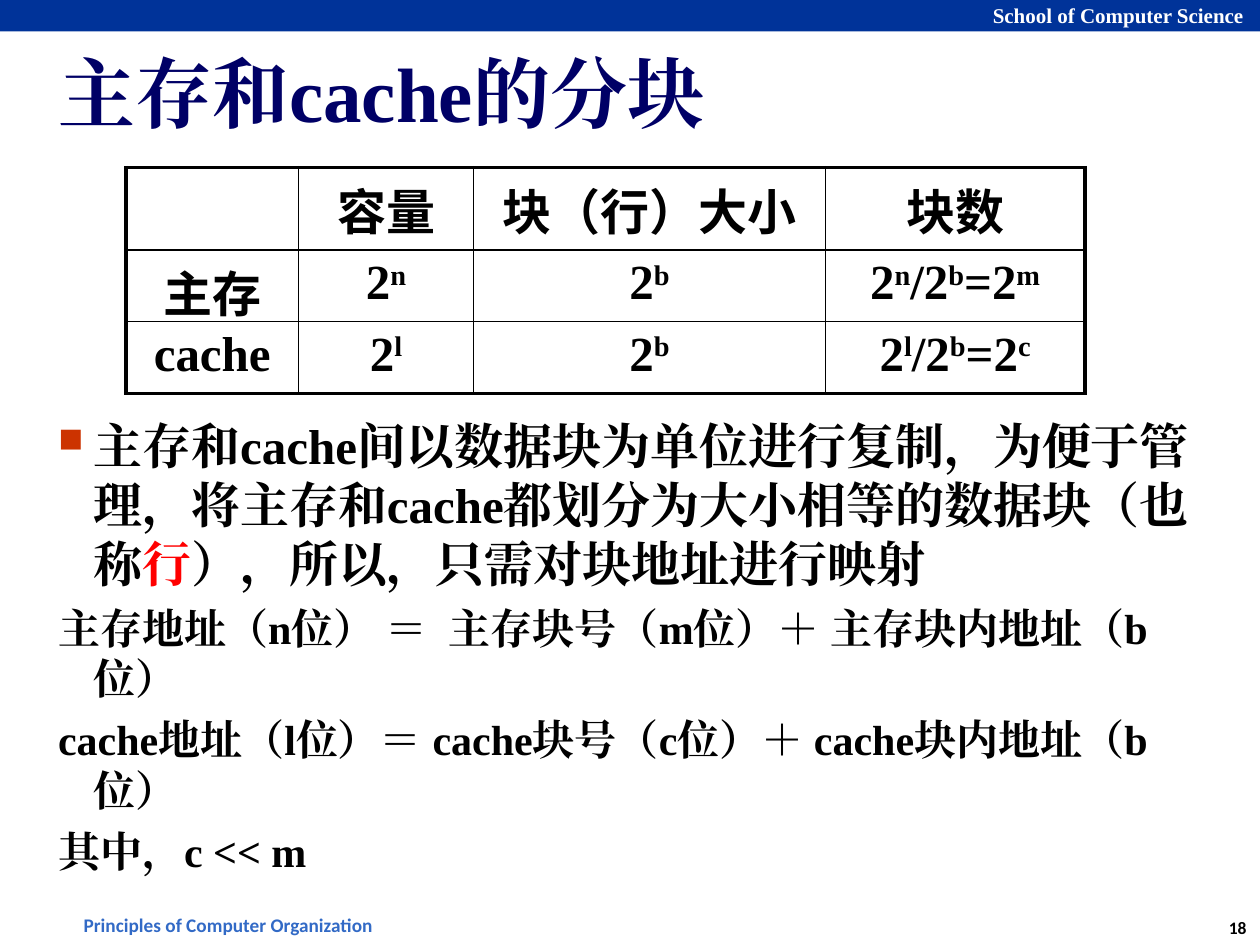
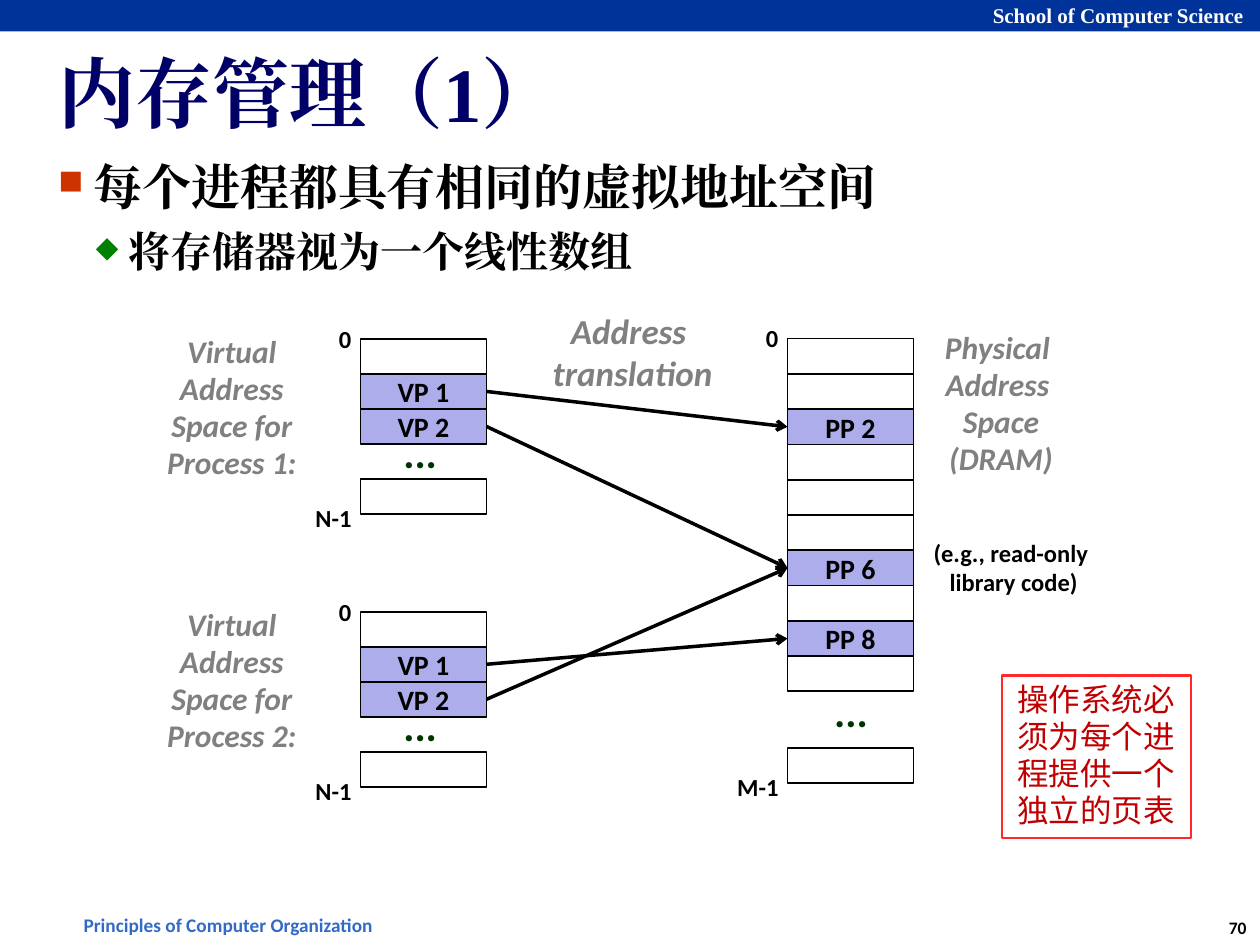
from pptx import Presentation
from pptx.dml.color import RGBColor
from pptx.enum.shapes import MSO_CONNECTOR, MSO_SHAPE
from pptx.enum.text import MSO_ANCHOR, MSO_AUTO_SIZE, PP_ALIGN
from pptx.oxml.ns import qn
from pptx.util import Pt
from lxml.etree import SubElement

BLACK, GREY, RED = "000000", "808080", "FF0000"
NAVY, BAND_BLUE, FOOTER_BLUE = "000066", "003399", "326AC6"
PAGE_FILL, DOTS_GREEN = "ADADEB", "003300"
SERIF, SANS, CJK = "Times New Roman", "Calibri", "Noto Sans CJK SC"
LEFT, CENTER = PP_ALIGN.LEFT, PP_ALIGN.CENTER


def colour(hex_code):
    return RGBColor.from_string(hex_code)


def write(shape, text, size, font=SANS, color=BLACK, bold=True, italic=False,
          align=CENTER, wrap=None, inset=None, line_spacing=None, before=None,
          margin=None, hanging=0, bullet=None, accent=None, raised=False):
    """Append one paragraph to a shape or cell.

    Pieces between bars take the accent colour or are raised as superscripts.
    """
    frame = shape.text_frame
    if wrap is not None:
        frame.word_wrap = wrap
    if inset is not None:
        frame.margin_left = frame.margin_right = Pt(inset)
        frame.margin_top = frame.margin_bottom = Pt(inset)
    paragraph = frame.add_paragraph() if frame.text else frame.paragraphs[0]
    paragraph.alignment = align
    if line_spacing:
        paragraph.line_spacing = line_spacing
    if before:
        paragraph.space_before = Pt(before)
    properties = paragraph._p.get_or_add_pPr()
    if margin:
        properties.set("marL", str(Pt(margin)))
        properties.set("indent", str(Pt(-hanging)))
    if bullet:
        symbol, bullet_color = bullet
        SubElement(SubElement(properties, qn("a:buClr")), qn("a:srgbClr"), val=bullet_color)
        SubElement(properties, qn("a:buSzPct"), val="70000")
        SubElement(properties, qn("a:buChar"), char=symbol)
    for index, piece in enumerate(text.split("|")):
        marked = index % 2 == 1
        run = paragraph.add_run()
        run.text = piece
        run.font.size = Pt(size)
        run.font.bold = bold
        run.font.italic = italic
        run.font.color.rgb = colour(accent if marked and accent else color)
        run.font.name = font
        run_properties = run._r.get_or_add_rPr()
        SubElement(run_properties, qn("a:ea"), typeface=font)
        if marked and raised:
            run_properties.set("baseline", "30000")


presentation = Presentation()
presentation.slide_width, presentation.slide_height = Pt(720), Pt(540)

# Shared frame of both slides: band, footer, number, title and body
slides, bodies = [], []
for title_text, number, body_top in (("主存和cache的分块", "18", 234.4),
                                     ("内存管理（1）", "70", 86.4)):
    slide = presentation.slides.add_slide(presentation.slide_layouts[5])
    slide.background.fill.solid()
    slide.background.fill.fore_color.rgb = colour("FFFFFF")

    band = slide.shapes.add_shape(MSO_SHAPE.RECTANGLE, 0, 0, Pt(720), Pt(18))
    band.shadow.inherit = False
    band.fill.solid()
    band.fill.fore_color.rgb = colour(BAND_BLUE)
    band.line.fill.background()

    for text, left, top, width, height, style in (
            (number, 694, 520.6, 26.6, 19.4, dict(size=10)),
            ("School of Computer Science", 560.2, -2.2, 159, 21.6,
             dict(size=12, font=SERIF, color="FFFFFF", align=LEFT)),
            ("Principles of Computer Organization ", 39.6, 518.4, 184.3, 20.9,
             dict(size=11, color=FOOTER_BLUE))):
        box = slide.shapes.add_textbox(Pt(left), Pt(top), Pt(width), Pt(height))
        write(box, text, wrap=False, **style)

    title = slide.shapes.title
    title.left, title.top, title.width, title.height = Pt(30.2), Pt(20.2), Pt(660.2), Pt(64)
    title.text_frame.auto_size = MSO_AUTO_SIZE.NONE
    title.text_frame.vertical_anchor = MSO_ANCHOR.MIDDLE
    write(title, title_text, 44, SERIF, NAVY, align=LEFT, inset=3)

    body = slide.shapes.add_textbox(Pt(30.2), Pt(body_top), Pt(660.2), Pt(498.2 - body_top))
    slides.append(slide)
    bodies.append(body)

BODY = dict(font=SERIF, align=LEFT, wrap=True, inset=3, margin=20.2, hanging=20.2)
SQUARE, DIAMOND = ("■", "CC3300"), ("◆", "008000")

# Slide 1: block sizes of main memory and cache
slide, body = slides[0], bodies[0]
write(body, "主存和cache间以数据块为单位进行复制，为便于管理，将主存和cache都划分为大小相等的数据块"
      "（也称|行|），所以，只需对块地址进行映射", 28, bullet=SQUARE, accent=RED, **BODY)
for formula in ("主存地址（n位） ＝  主存块号（m位）＋ 主存块内地址（b位）",
                "cache地址（l位）＝ cache块号（c位）＋ cache块内地址（b位）",
                "其中，c << m"):
    write(body, formula, 24, before=6, **BODY)

block_rows = [["", "容量", "块（行）大小", "块数"],
              ["主存", "2|n", "2|b", "2|n|/2|b|=2|m"],
              ["cache", "2|l", "2|b", "2|l|/2|b|=2|c"]]
column_widths, row_heights = [98.6, 100.1, 200.9, 148.4], [47, 41, 41]
table = slide.shapes.add_table(3, 4, Pt(72), Pt(95.8), Pt(sum(column_widths)),
                               Pt(sum(row_heights))).table
table.first_row = table.horz_banding = False
for column, width in zip(table.columns, column_widths):
    column.width = Pt(width)
for row, height in zip(table.rows, row_heights):
    row.height = Pt(height)
for row_index, row_texts in enumerate(block_rows):
    for column_index, text in enumerate(row_texts):
        cell = table.cell(row_index, column_index)
        outer_sides = {"L": column_index == 0, "R": column_index == 3,
                       "T": row_index == 0, "B": row_index == 2}
        for side, outer in outer_sides.items():
            border = SubElement(cell._tc.get_or_add_tcPr(), qn("a:ln" + side),
                                w=str(Pt(2.25 if outer else 1)))
            SubElement(SubElement(border, qn("a:solidFill")), qn("a:srgbClr"), val=BLACK)
        cell.fill.background()
        if text:
            write(cell, text, 28, SERIF if text.isascii() else CJK, raised=True)

# Slide 2: virtual pages mapped to physical pages
slide, body = slides[1], bodies[1]
write(body, "每个进程都具有相同的虚拟地址空间", 28, bullet=SQUARE, **BODY)
write(body, "将存储器视为一个线性数组", 24, before=6, bullet=DIAMOND,
      **{**BODY, "margin": 40.3, "hanging": 18.7})

virtual_slots = [(0, ""), (1, "VP 1"), (2, "VP 2"), (4, "")]
physical_names = {2: "PP 2", 6: "PP 6", 8: "PP 8"}
physical_slots = [(slot, physical_names.get(slot, "")) for slot in range(10)] + [(11.6, "")]
GREY_LABEL = dict(size=18, color=GREY, italic=True)
LABEL = dict(size=14, wrap=False)
DOTS = dict(size=24, color=DOTS_GREEN, wrap=False, line_spacing=0.88)
labels = []
pages = {}
for space, left, top, pitch, slots, end_name, end_width, dots_left, dots_top in (
        ("process 1", 206, 193.7, 20, virtual_slots, "N-1", 35.3, 223.2, 244),
        ("process 2", 206, 349.6, 20, virtual_slots, "N-1", 35.3, 223.2, 399.9),
        ("physical", 450, 193.5, 20.16, physical_slots, "M-1", 38.2, 469.4, 391.7)):
    for slot, name in slots:
        page = slide.shapes.add_shape(MSO_SHAPE.RECTANGLE, Pt(left), Pt(top + slot * pitch),
                                      Pt(72), Pt(pitch))
        page.shadow.inherit = False
        page.line.color.rgb = colour(BLACK)
        page.line.width = Pt(1)
        if name:
            page.fill.solid()
            page.fill.fore_color.rgb = colour(PAGE_FILL)
            page.text_frame.vertical_anchor = MSO_ANCHOR.MIDDLE
            write(page, name, 16, inset=0)
            pages[space, name] = page
        else:
            page.fill.background()
    last_top = top + slots[-1][0] * pitch
    labels += [("0", left - 20, top - 12.2, 22.3, 23.8, LABEL),
               (end_name, left + 2.2 - end_width, last_top + 10.4, end_width, 23.8, LABEL),
               ("...", dots_left, dots_top, 33.8, 32.4, DOTS)]

for process, virtual_name, physical_name in (("process 1", "VP 1", "PP 2"),
                                             ("process 1", "VP 2", "PP 6"),
                                             ("process 2", "VP 2", "PP 6"),
                                             ("process 2", "VP 1", "PP 8")):
    arrow = slide.shapes.add_connector(MSO_CONNECTOR.STRAIGHT, 0, 0, 0, 0)
    arrow.begin_connect(pages[process, virtual_name], 3)
    arrow.end_connect(pages["physical", physical_name], 1)
    arrow.line.color.rgb = colour(BLACK)
    arrow.line.width = Pt(2)
    SubElement(arrow.line._get_or_add_ln(), qn("a:tailEnd"), type="arrow")
    SubElement(arrow._element.spPr, qn("a:effectLst"))

labels += [
    ("Virtual Address Space for Process 1:", 78.5, 187.2, 108, 92.2,
     dict(wrap=True, line_spacing=0.98, **GREY_LABEL)),
    ("Virtual Address Space for Process 2:", 78.5, 343.4, 108, 92.2,
     dict(wrap=True, line_spacing=0.98, **GREY_LABEL)),
    ("Physical \nAddress \nSpace (DRAM)", 529.9, 185, 84.2, 92.9,
     dict(wrap=True, line_spacing=0.98, **GREY_LABEL)),
    ("(e.g., read-only \nlibrary code)", 522, 304.6, 114.5, 40.3,
     dict(size=14, wrap=True, line_spacing=0.98)),
    ("Address \ntranslation", 308.2, 173.5, 106.6, 55.4,
     dict(size=20, color=GREY, italic=True, wrap=False))]
for text, left, top, width, height, style in labels:
    box = slide.shapes.add_textbox(Pt(left), Pt(top), Pt(width), Pt(height))
    for line in text.split("\n"):
        write(box, line, **style)

note = slide.shapes.add_shape(MSO_SHAPE.RECTANGLE, Pt(572.4), Pt(386), Pt(108), Pt(92.9))
note.shadow.inherit = False
note.fill.background()
note.line.color.rgb = colour("FF2929")
note.line.width = Pt(1.25)
note.text_frame.vertical_anchor = MSO_ANCHOR.TOP
write(note, "操作系统必须为每个进程提供一个独立的页表", 18, color="C00000", bold=False,
      wrap=True, line_spacing=0.98, align=CENTER)

presentation.save("out.pptx")
